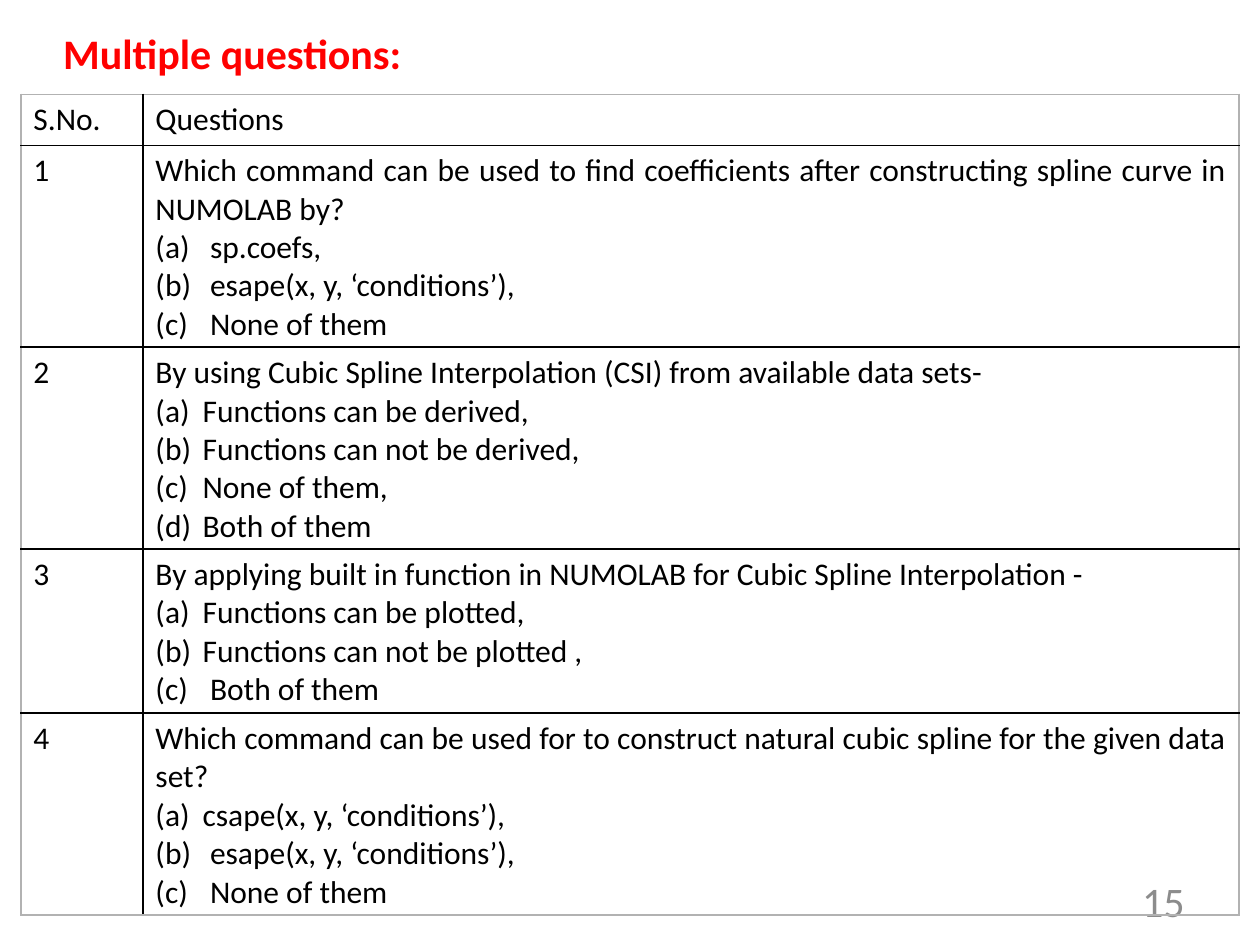
from lxml import etree
from pptx import Presentation
from pptx.dml.color import RGBColor
from pptx.enum.text import MSO_ANCHOR, MSO_AUTO_SIZE, PP_ALIGN
from pptx.oxml.ns import qn
from pptx.util import Cm, Pt

RED = RGBColor(0xFF, 0x00, 0x00)
BLACK = RGBColor(0x00, 0x00, 0x00)
GREY = RGBColor(0x8C, 0x8C, 0x8C)
LIGHT_GREY = RGBColor(0xB2, 0xB2, 0xB2)
FONT = "Calibri"

HANGING = Cm(0.95)
WIDE_HANGING = Cm(1.1)

HEADER = ("S.No.", "Questions")
QUESTIONS = [
    ("Which command can be used to find coefficients after constructing "
     "spline curve in NUMOLAB by?",
     [("sp.coefs,", WIDE_HANGING),
      ("esape(x, y, ‘conditions’),", WIDE_HANGING),
      ("None of them", WIDE_HANGING)]),
    ("By using Cubic Spline Interpolation (CSI) from available data sets-",
     [("Functions can be derived,", HANGING),
      ("Functions can not be derived,", HANGING),
      ("None of them,", HANGING),
      ("Both of them", HANGING)]),
    ("By applying built in function in NUMOLAB for Cubic Spline Interpolation -",
     [("Functions can be plotted,", HANGING),
      ("Functions can not be plotted ,", HANGING),
      ("Both of them", WIDE_HANGING)]),
    ("Which command can be used for to construct natural cubic spline for "
     "the given data set?",
     [("csape(x, y, ‘conditions’),", HANGING),
      ("esape(x, y, ‘conditions’),", WIDE_HANGING),
      ("None of them", WIDE_HANGING)]),
]
COLUMN_WIDTHS = (Cm(2.46), Cm(22.1))
ROW_HEIGHTS = (Cm(1.03), Cm(4.07), Cm(4.07), Cm(3.3), Cm(4.07))


def write_text(paragraph, text, size=18, color=BLACK, bold=False,
               align=PP_ALIGN.LEFT):
    paragraph.alignment = align
    run = paragraph.add_run()
    run.text = text
    run.font.name = FONT
    run.font.size = Pt(size)
    run.font.bold = bold
    run.font.color.rgb = color


def number_option(paragraph, indent):
    """Give the paragraph a hanging (a), (b), (c) number."""
    properties = paragraph._p.get_or_add_pPr()
    properties.set("marL", str(indent))
    properties.set("indent", str(-indent))
    etree.SubElement(properties, qn("a:buFont"), typeface="+mj-lt")
    etree.SubElement(properties, qn("a:buAutoNum"), type="alphaLcParenBoth")


def set_border(cell, side, color):
    properties = cell._tc.get_or_add_tcPr()
    line = etree.SubElement(properties, qn(f"a:ln{side}"), w=str(Pt(1)))
    fill = etree.SubElement(line, qn("a:solidFill"))
    etree.SubElement(fill, qn("a:srgbClr"), val=str(color))


def format_cell(cell, row, column):
    """Draw black inner borders, a light outer frame and no fill."""
    last_row, last_column = len(ROW_HEIGHTS) - 1, len(COLUMN_WIDTHS) - 1
    outer = {"L": column == 0, "R": column == last_column,
             "T": row == 0, "B": row == last_row}
    for side, is_outer in outer.items():
        set_border(cell, side, LIGHT_GREY if is_outer else BLACK)
    cell.fill.background()


def place_title(slide, left, top, width, height):
    title = slide.shapes.title
    title.left, title.top, title.width, title.height = left, top, width, height
    frame = title.text_frame
    frame.auto_size = MSO_AUTO_SIZE.NONE
    frame.vertical_anchor = MSO_ANCHOR.TOP
    write_text(frame.paragraphs[0], "Multiple questions:", size=24, color=RED,
               bold=True)


def place_questions(slide, left, top):
    shape = slide.shapes.add_table(
        len(ROW_HEIGHTS), len(COLUMN_WIDTHS), left, top,
        sum(COLUMN_WIDTHS), sum(ROW_HEIGHTS))
    table = shape.table
    table.first_row = table.horz_banding = False
    for column, width in zip(table.columns, COLUMN_WIDTHS):
        column.width = width
    for row, height in zip(table.rows, ROW_HEIGHTS):
        row.height = height
    for row in range(len(ROW_HEIGHTS)):
        for column in range(len(COLUMN_WIDTHS)):
            format_cell(table.cell(row, column), row, column)

    for column, heading in enumerate(HEADER):
        write_text(table.cell(0, column).text_frame.paragraphs[0], heading)
    for number, (question, options) in enumerate(QUESTIONS, start=1):
        write_text(table.cell(number, 0).text_frame.paragraphs[0], str(number))
        frame = table.cell(number, 1).text_frame
        write_text(frame.paragraphs[0], question, align=PP_ALIGN.JUSTIFY)
        for option, indent in options:
            paragraph = frame.add_paragraph()
            number_option(paragraph, indent)
            write_text(paragraph, option)


def place_page_number(slide, left, top, width, height):
    frame = slide.shapes.add_textbox(left, top, width, height).text_frame
    frame.word_wrap = True
    frame.vertical_anchor = MSO_ANCHOR.MIDDLE
    write_text(frame.paragraphs[0], "15", size=24, color=GREY,
               align=PP_ALIGN.RIGHT)


def main():
    presentation = Presentation()
    presentation.slide_width, presentation.slide_height = Cm(25.4), Cm(19.05)
    slide = presentation.slides.add_slide(presentation.slide_layouts[5])
    place_page_number(slide, Cm(22.43), Cm(17.65), Cm(1.7), Cm(1.02))
    place_title(slide, Cm(1.02), Cm(0.43), Cm(13.16), Cm(1.27))
    place_questions(slide, Cm(0.42), Cm(1.9))
    presentation.save("out.pptx")


if __name__ == "__main__":
    main()
